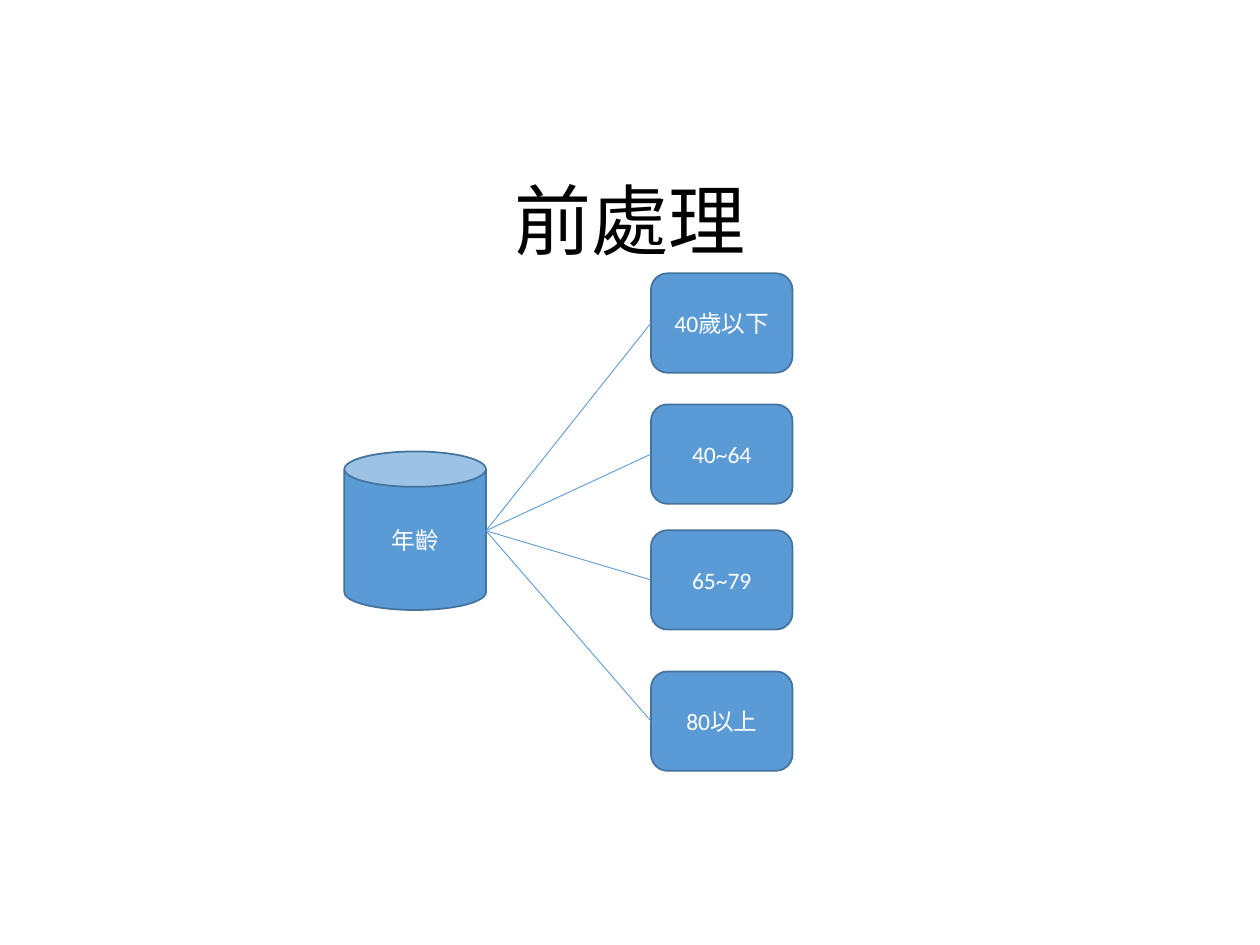
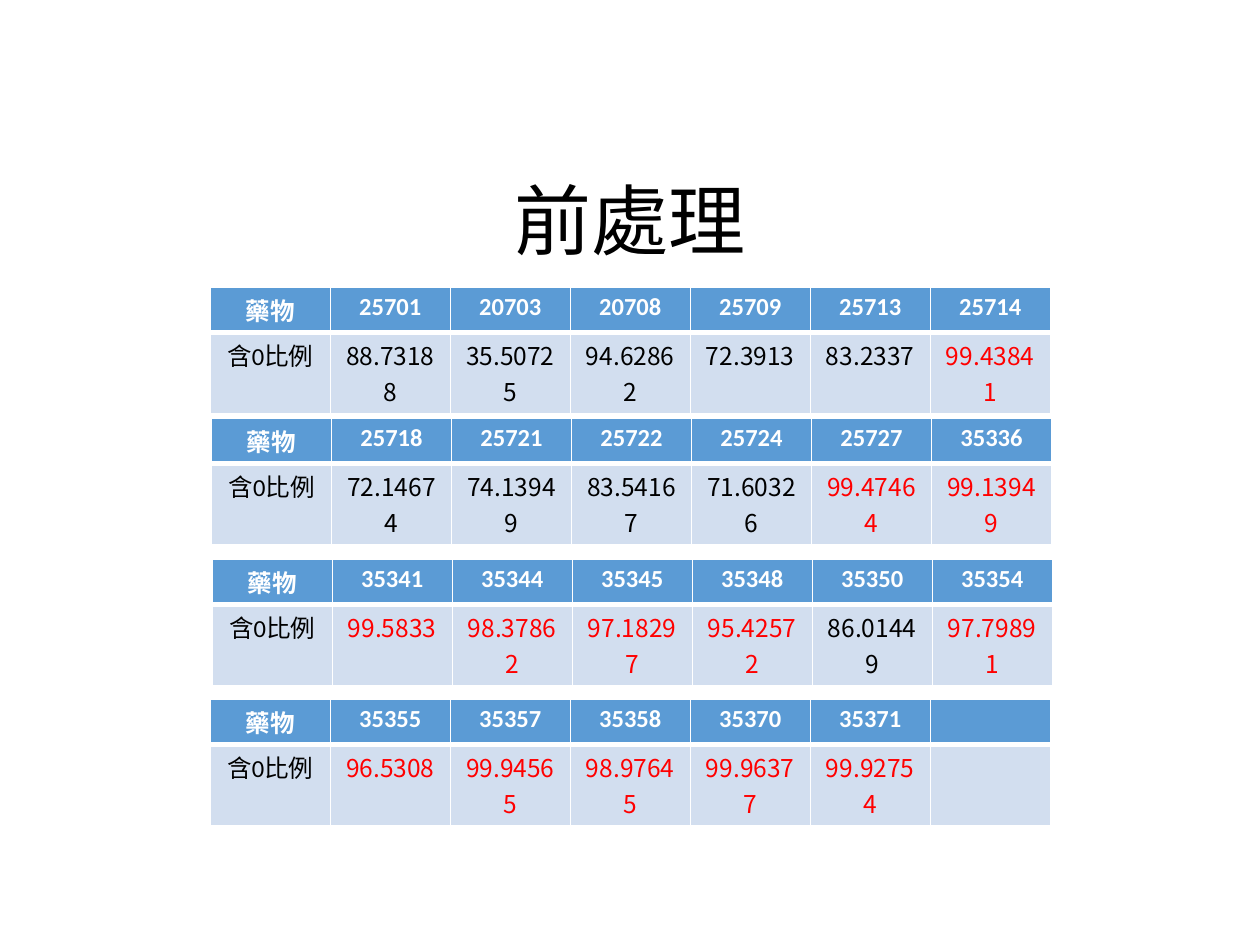
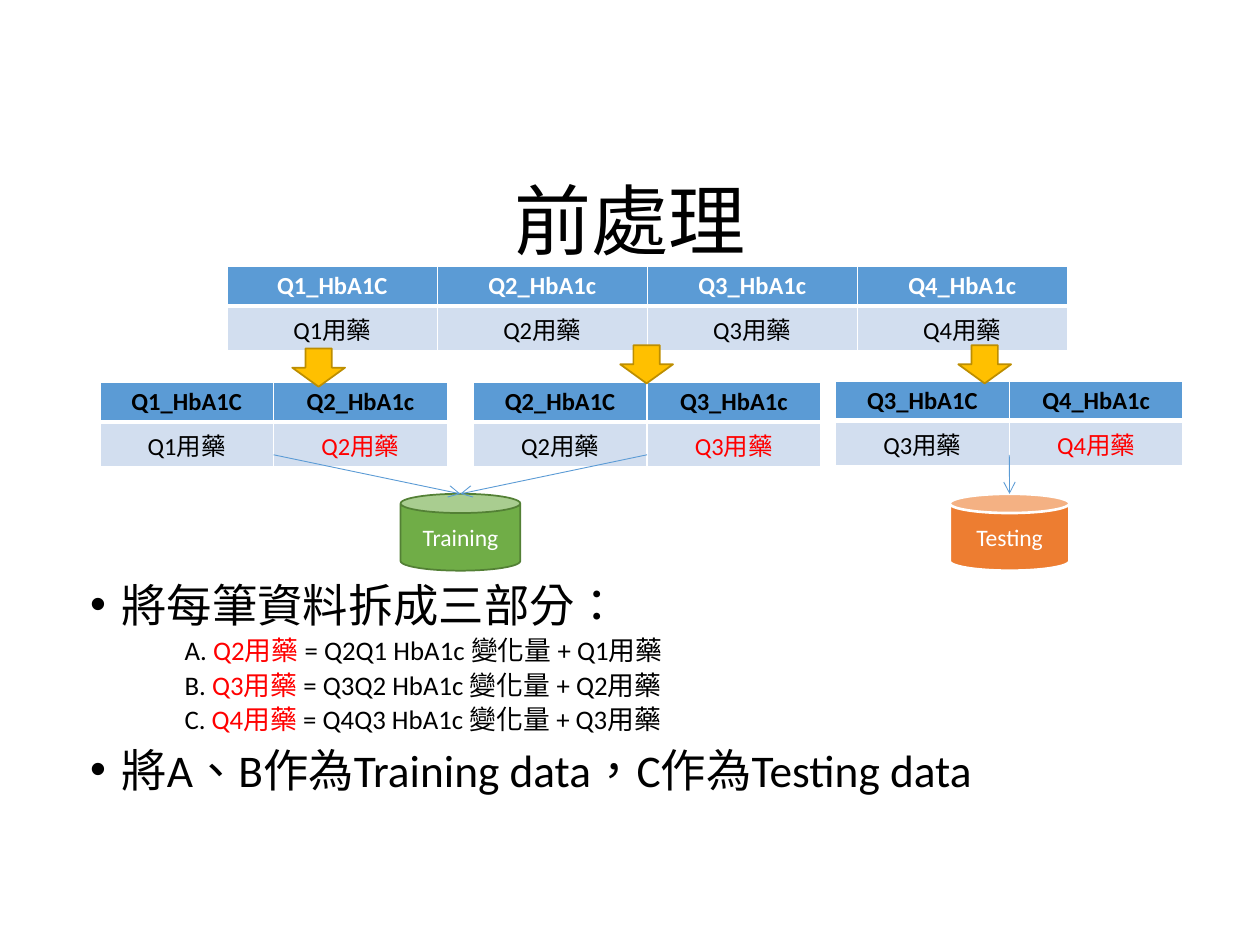
import pptx
import pptx.dml.color
import pptx.enum.shapes
import pptx.enum.text
import pptx.oxml.ns
import pptx.util
from lxml import etree

Pt = pptx.util.Pt
Shape = pptx.enum.shapes.MSO_SHAPE
Align = pptx.enum.text.PP_ALIGN
Anchor = pptx.enum.text.MSO_ANCHOR
qn = pptx.oxml.ns.qn

BLUE, DARK_BLUE, PALE_BLUE = "5B9BD5", "43739E", "D2DEEF"
GREEN, DARK_GREEN, ORANGE = "70AD47", "538035", "ED7D31"
GOLD, DARK_GOLD = "FFC000", "BD8E00"
BLACK, WHITE, RED = "000000", "FFFFFF", "FF0000"
LATIN, CJK = "Calibri", "Noto Sans CJK TC"
LANGUAGE = "zh-TW"

TITLE = "前處理"
TITLE_SIZE, SHAPE_SIZE, TABLE_SIZE = 44, 13.5, 14
BULLET_SIZE, FORMULA_SIZE = 25.9, 15.3
ROW_HEIGHT, WIDE_TABLE, PAIR_TABLE = 21.8, 480, 198.7
THIN_BORDER, HEAD_BORDER = 1, 3
RED_ABOVE = 95

AGE_GROUPS = [("40歲以下", 156.2), ("40~64", 231.1), ("65~79", 303), ("80以上", 383.7)]

DRUG_TABLES = [
    (120.2, 164.2, {
        "25701": "88.73188", "20703": "35.50725", "20708": "94.62862",
        "25709": "72.3913", "25713": "83.2337", "25714": "99.43841"}),
    (120.9, 239, {
        "25718": "72.14674", "25721": "74.13949", "25722": "83.54167",
        "25724": "71.60326", "25727": "99.47464", "35336": "99.13949"}),
    (121.3, 319.7, {
        "35341": "99.5833", "35344": "98.37862", "35345": "97.18297",
        "35348": "95.42572", "35350": "86.01449", "35354": "97.79891"}),
    (120.2, 399.6, {
        "35355": "96.5308", "35357": "99.94565", "35358": "98.97645",
        "35370": "99.96377", "35371": "99.92754", "": ""}),
]


def color(value):
    return pptx.dml.color.RGBColor.from_string(value)


def add_span(para, text, size, text_color=BLACK, bold=False, font=LATIN):
    span = para.add_run()
    span.text = text
    span.font.size = Pt(size)
    span.font.name = font
    span.font.bold = bold
    span.font.color.rgb = color(text_color)
    span._r.get_or_add_rPr().set("lang", LANGUAGE)


def add_page(deck):
    page = deck.slides.add_slide(deck.slide_layouts.get_by_name("Title Only"))
    title = page.shapes.title
    title.left, title.top = Pt(49.5), Pt(89.3)
    title.width, title.height = Pt(621), Pt(78.3)
    title.text_frame.vertical_anchor = Anchor.MIDDLE
    para = title.text_frame.paragraphs[0]
    para.alignment = Align.CENTER
    para.line_spacing = 0.9
    add_span(para, TITLE, TITLE_SIZE)
    return page


def add_box(page, kind, left, top, width, height, fill, line, text="", line_width=1):
    box = page.shapes.add_shape(kind, Pt(left), Pt(top), Pt(width), Pt(height))
    box.shadow.inherit = False
    box.fill.solid()
    box.fill.fore_color.rgb = color(fill)
    box.line.color.rgb = color(line)
    box.line.width = Pt(line_width)
    if text:
        box.text_frame.vertical_anchor = Anchor.MIDDLE
        para = box.text_frame.paragraphs[0]
        para.alignment = Align.CENTER
        add_span(para, text, SHAPE_SIZE, WHITE)


def add_line(page, start, end, arrow=False):
    line = page.shapes.add_connector(
        pptx.enum.shapes.MSO_CONNECTOR.STRAIGHT, *map(Pt, start + end))
    line.line.color.rgb = color(BLUE)
    line.line.width = Pt(0.5)
    props = line.element.spPr
    if arrow:
        etree.SubElement(props.get_or_add_ln(), qn("a:tailEnd"), type="arrow")
    etree.SubElement(props, qn("a:effectLst"))


def set_borders(cell, top, bottom):
    props = cell._tc.get_or_add_tcPr()
    widths = {"L": THIN_BORDER, "R": THIN_BORDER, "T": top, "B": bottom}
    for index, (side, width) in enumerate(widths.items()):
        edge = etree.Element(qn("a:ln" + side), w=str(Pt(width)))
        fill = etree.SubElement(edge, qn("a:solidFill"))
        etree.SubElement(fill, qn("a:srgbClr"), val=WHITE)
        props.insert(index, edge)


def write_cell(cell, text, fill, text_color, bold=False, font=LATIN):
    cell.fill.solid()
    cell.fill.fore_color.rgb = color(fill)
    cell.margin_left = cell.margin_right = Pt(5.4)
    cell.margin_top = cell.margin_bottom = Pt(2.7)
    para = cell.text_frame.paragraphs[0]
    para.alignment = Align.CENTER
    if text:
        add_span(para, text, TABLE_SIZE, text_color, bold, font)
    else:
        etree.SubElement(para._p, qn("a:endParaRPr"), sz=str(TABLE_SIZE * 100))


def add_grid(page, left, top, width, columns, head_color=WHITE):
    table = page.shapes.add_table(
        2, len(columns), Pt(left), Pt(top), Pt(width), Pt(2 * ROW_HEIGHT)).table
    for row in table.rows:
        row.height = Pt(ROW_HEIGHT)
    for index, (head, value, value_color, value_font) in enumerate(columns):
        table.columns[index].width = Pt(width / len(columns))
        head_cell, value_cell = table.cell(0, index), table.cell(1, index)
        write_cell(head_cell, head, BLUE, head_color, bold=True)
        write_cell(value_cell, value, PALE_BLUE, value_color, font=value_font)
        set_borders(head_cell, THIN_BORDER, HEAD_BORDER)
        set_borders(value_cell, HEAD_BORDER, THIN_BORDER)


def add_para(frame, level, margin, indent, space, bullet):
    para = frame.paragraphs[0]
    if para.runs:
        para = frame.add_paragraph()
    para.level = level
    para.line_spacing = 0.8
    para.space_before = Pt(space)
    props = para._p.get_or_add_pPr()
    props.set("marL", str(Pt(margin)))
    props.set("indent", str(Pt(indent)))
    if bullet:
        etree.SubElement(props, qn("a:buFont"), typeface="Arial")
        etree.SubElement(props, qn("a:buChar"), char=bullet)
    else:
        etree.SubElement(props, qn("a:buNone"))
    return para


def add_bullet(frame, text):
    para = add_para(frame, 0, 18, -18, 10, "•")
    add_span(para, text, BULLET_SIZE)


def add_formula(frame, letter, source, target):
    para = add_para(frame, 2, 54, 0, 5, None)
    add_span(para, f"{letter}. ", FORMULA_SIZE)
    add_span(para, f"Q{target}用藥 ", FORMULA_SIZE, RED)
    add_span(para, f"= Q{target}Q{source} HbA1c 變化量 + Q{source}用藥", FORMULA_SIZE)


def quarter_column(quarter, suffix="HbA1c", value_color=BLACK):
    return f"Q{quarter}_{suffix}", f"Q{quarter}用藥", value_color, LATIN


def share_column(code, share):
    high = share and float(share) > RED_ABOVE
    return code, share, RED if high else BLACK, CJK


def build_age_page(deck):
    page = add_page(deck)
    width = 80.9
    can_left, can_top, can_height = 196.8, 258, 90.6
    group_left, group_height = 372, 56.8
    add_box(page, Shape.CAN, can_left, can_top, width, can_height, BLUE, DARK_BLUE, "年齡")
    hub = (can_left + width, can_top + can_height / 2)
    for text, top in AGE_GROUPS:
        add_box(page, Shape.ROUNDED_RECTANGLE, group_left, top, width, group_height,
                BLUE, DARK_BLUE, text)
        add_line(page, hub, (group_left, top + group_height / 2))


def build_drug_page(deck):
    page = add_page(deck)
    label = ("藥物", "含0比例", BLACK, LATIN)
    for left, top, shares in DRUG_TABLES:
        columns = [label] + [share_column(*item) for item in shares.items()]
        add_grid(page, left, top, WIDE_TABLE, columns)


def build_split_page(deck):
    page = add_page(deck)
    first = quarter_column(1, "HbA1C")
    later = [quarter_column(quarter) for quarter in (2, 3, 4)]
    add_grid(page, 129.9, 152.3, WIDE_TABLE, [first] + later)

    can_top, can_width, can_height = 282.2, 68.4, 43.9
    training_left, testing_left = 228.9, 542.7
    add_box(page, Shape.CAN, training_left, can_top, can_width, can_height,
            GREEN, DARK_GREEN, "Training")
    add_box(page, Shape.CAN, testing_left, can_top, can_width, can_height,
            ORANGE, WHITE, "Testing", 1.5)

    pairs = [
        (57, 218.6, training_left, 167, 199.2),
        (270.4, 218.6, training_left, 354.4, 197.3),
        (477.4, 218, testing_left, 547.6, 197.3),
    ]
    for quarter, (left, top, can_left, arrow_left, arrow_top) in enumerate(pairs, 1):
        columns = [quarter_column(quarter, "HbA1C"),
                   quarter_column(quarter + 1, value_color=RED)]
        add_grid(page, left, top, PAIR_TABLE, columns, BLACK)
        add_line(page, (left + PAIR_TABLE / 2, 259.9),
                 (can_left + can_width / 2, can_top), arrow=True)
        add_box(page, Shape.DOWN_ARROW, arrow_left, arrow_top, 30.2, 21.8, GOLD, DARK_GOLD)

    body = page.shapes.add_textbox(Pt(44.4), Pt(332.4), Pt(621), Pt(128.9))
    frame = body.text_frame
    frame.word_wrap = True
    add_bullet(frame, "將每筆資料拆成三部分：")
    for source, letter in enumerate("ABC", 1):
        add_formula(frame, letter, source, source + 1)
    add_bullet(frame, "將A、B作為Training data，C作為Testing data")


def main():
    deck = pptx.Presentation()
    deck.slide_width, deck.slide_height = Pt(720), Pt(540)
    build_age_page(deck)
    build_drug_page(deck)
    build_split_page(deck)
    deck.save("out.pptx")


main()
